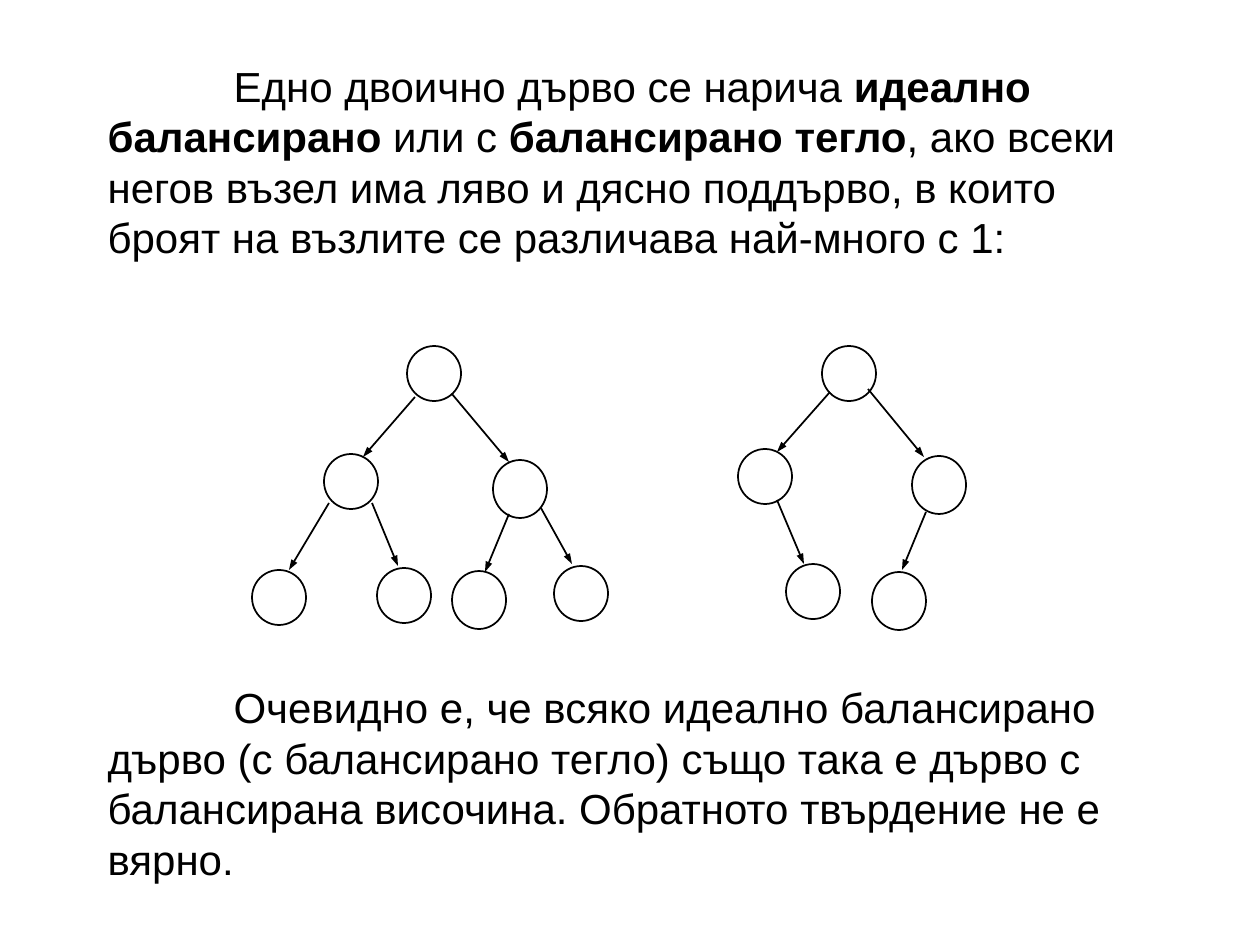
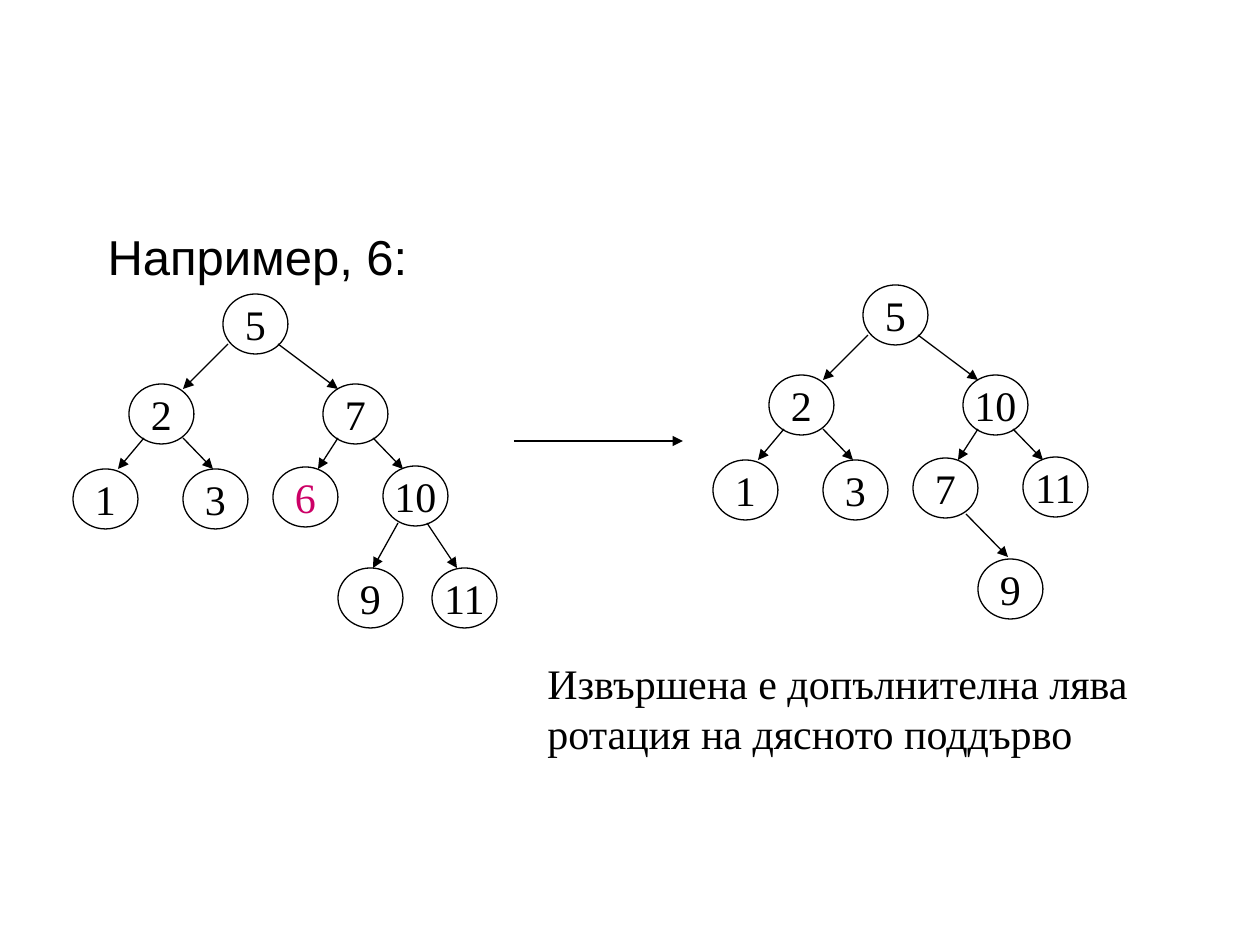
import pptx
import pptx.util
import pptx.dml.color
import pptx.enum.shapes
import pptx.enum.text
import pptx.oxml.ns
import lxml.etree

SCALE = 914400 / 126
INK, PAPER, MARK = "000000", "FFFFFF", "CC0066"
SANS, SERIF = "Arial", "Times New Roman"

# Slide 1: left, top, height of each node
NODES = [
    (407, 346, 55), (324, 454, 55), (493, 460, 58), (252, 570, 55),
    (554, 566, 55), (377, 568, 55), (452, 571, 58),
    (822, 346, 55), (738, 449, 55), (912, 456, 58), (786, 564, 55),
    (872, 572, 58),
]
EDGES = [
    (415, 397, 363, 457), (452, 394, 509, 462), (329, 503, 289, 570),
    (372, 503, 398, 566), (541, 508, 572, 564), (509, 514, 485, 572),
    (830, 392, 777, 452), (868, 389, 924, 457), (777, 500, 804, 564),
    (926, 512, 902, 570),
]

# Slide 2: places and arrows that both trees share
SPOTS = [(223, 294), (129, 384), (323, 384), (73, 469), (183, 469),
         (273, 467), (383, 466), (338, 568), (432, 568)]
LINKS = [(228, 344, 183, 389), (278, 344, 338, 389), (144, 438, 118, 469),
         (183, 438, 213, 469), (338, 438, 318, 469), (373, 438, 403, 469)]


def px(n):
    return pptx.util.Emu(round(n * SCALE))


def hue(code):
    return pptx.dml.color.RGBColor.from_string(code)


class Deck:
    def __init__(self):
        self.prs = pptx.Presentation()
        self.prs.slide_width = px(1260)
        self.prs.slide_height = px(945)

    def start(self, width, head):
        """Add a slide with its line width and arrowhead width."""
        self.slide = self.prs.slides.add_slide(self.prs.slide_layouts[5])
        self.width, self.head = width, head

    def run(self, para, text, size, face, color=INK, bold=False):
        run = para.add_run()
        run.text = text
        font = run.font
        font.size, font.name, font.bold = pptx.util.Pt(size), face, bold
        font.color.rgb = hue(color)

    def title(self, box, paras, size, indent=0, gap=0):
        """Fill the title; each paragraph is a list of (text, bold)."""
        shape = self.slide.shapes.title
        shape.left, shape.top, shape.width, shape.height = map(px, box)
        frame = shape.text_frame
        frame.word_wrap = True
        frame.auto_size = pptx.enum.text.MSO_AUTO_SIZE.NONE
        frame.vertical_anchor = pptx.enum.text.MSO_ANCHOR.TOP
        for i, runs in enumerate(paras):
            para = frame.add_paragraph() if i else frame.paragraphs[0]
            para.alignment = pptx.enum.text.PP_ALIGN.LEFT
            para.space_before = pptx.util.Pt(gap if i else 0)
            props = para._p.get_or_add_pPr()
            props.set("marL", "0")
            props.set("indent", str(px(indent)))
            for text, bold in runs:
                self.run(para, text, size, SANS, bold=bold)

    def text(self, box, text, size):
        frame = self.slide.shapes.add_textbox(*map(px, box)).text_frame
        frame.word_wrap = True
        self.run(frame.paragraphs[0], text, size, SERIF)

    def node(self, x, y, w, h, fill=None, label="", color=INK):
        oval = self.slide.shapes.add_shape(
            pptx.enum.shapes.MSO_SHAPE.OVAL, *map(px, (x, y, w, h)))
        oval.shadow.inherit = False
        if fill:
            oval.fill.solid()
            oval.fill.fore_color.rgb = hue(fill)
        else:
            oval.fill.background()
        oval.line.color.rgb = hue(INK)
        oval.line.width = pptx.util.Pt(self.width)
        if label:
            frame = oval.text_frame
            frame.word_wrap = False
            frame.margin_left = frame.margin_right = 0
            frame.margin_top = frame.margin_bottom = 0
            frame.vertical_anchor = pptx.enum.text.MSO_ANCHOR.MIDDLE
            para = frame.paragraphs[0]
            para.alignment = pptx.enum.text.PP_ALIGN.CENTER
            self.run(para, label, 24, SERIF, color)

    def arrow(self, *ends):
        line = self.slide.shapes.add_connector(
            pptx.enum.shapes.MSO_CONNECTOR.STRAIGHT, *map(px, ends))
        line.line.color.rgb = hue(INK)
        line.line.width = pptx.util.Pt(self.width)
        qn = pptx.oxml.ns.qn
        props = line.element.spPr
        lxml.etree.SubElement(props.find(qn("a:ln")), qn("a:tailEnd"),
                              type="triangle", w=self.head, len="med")
        lxml.etree.SubElement(props, qn("a:effectLst"))

    def tree(self, dx, dy, labels, links, mark=None):
        """Draw a labelled tree on the shared spots, moved by dx, dy."""
        for (x, y), label in zip(SPOTS, labels):
            color = MARK if label == mark else INK
            self.node(x + dx, y + dy, 65, 60, PAPER, label, color)
        for x1, y1, x2, y2 in LINKS + links:
            self.arrow(x1 + dx, y1 + dy, x2 + dx, y2 + dy)


def main():
    deck = Deck()

    deck.start(1, "sm")
    deck.title((95, 54, 1071, 840), [
        [("Едно двоично дърво се нарича ", False),
         ("идеално балансирано", True),
         (" или с ", False),
         ("балансирано тегло", True),
         (", ако всеки негов възел има ляво и дясно поддърво, в които "
          "броят на възлите се различава най-много с 1:", False)],
        [("Очевидно е, че всяко идеално балансирано дърво (с балансирано "
          "тегло) също така е дърво с балансирана височина. Обратното "
          "твърдение не е вярно.", False)],
    ], 24, indent=126, gap=240)
    for x, y, h in NODES:
        deck.node(x, y, 54, h)
    for edge in EDGES:
        deck.arrow(*edge)

    deck.start(0.75, "med")
    deck.title((95, 220, 1071, 70), [[("Например, 6:", False)]], 28)
    deck.tree(0, 0, ["5", "2", "7", "1", "3", "6", "10", "9", "11"],
              [(398, 523, 373, 568), (427, 523, 457, 568)], mark="6")
    deck.tree(640, -9, ["5", "2", "10", "1", "3", "7", "11", "9"],
              [(326, 523, 368, 566)])
    deck.arrow(514, 441, 683, 441)
    deck.text((535, 651, 640, 113),
              "Извършена е допълнителна лява ротация на дясното поддърво", 24)

    deck.prs.save("out.pptx")


if __name__ == "__main__":
    main()
